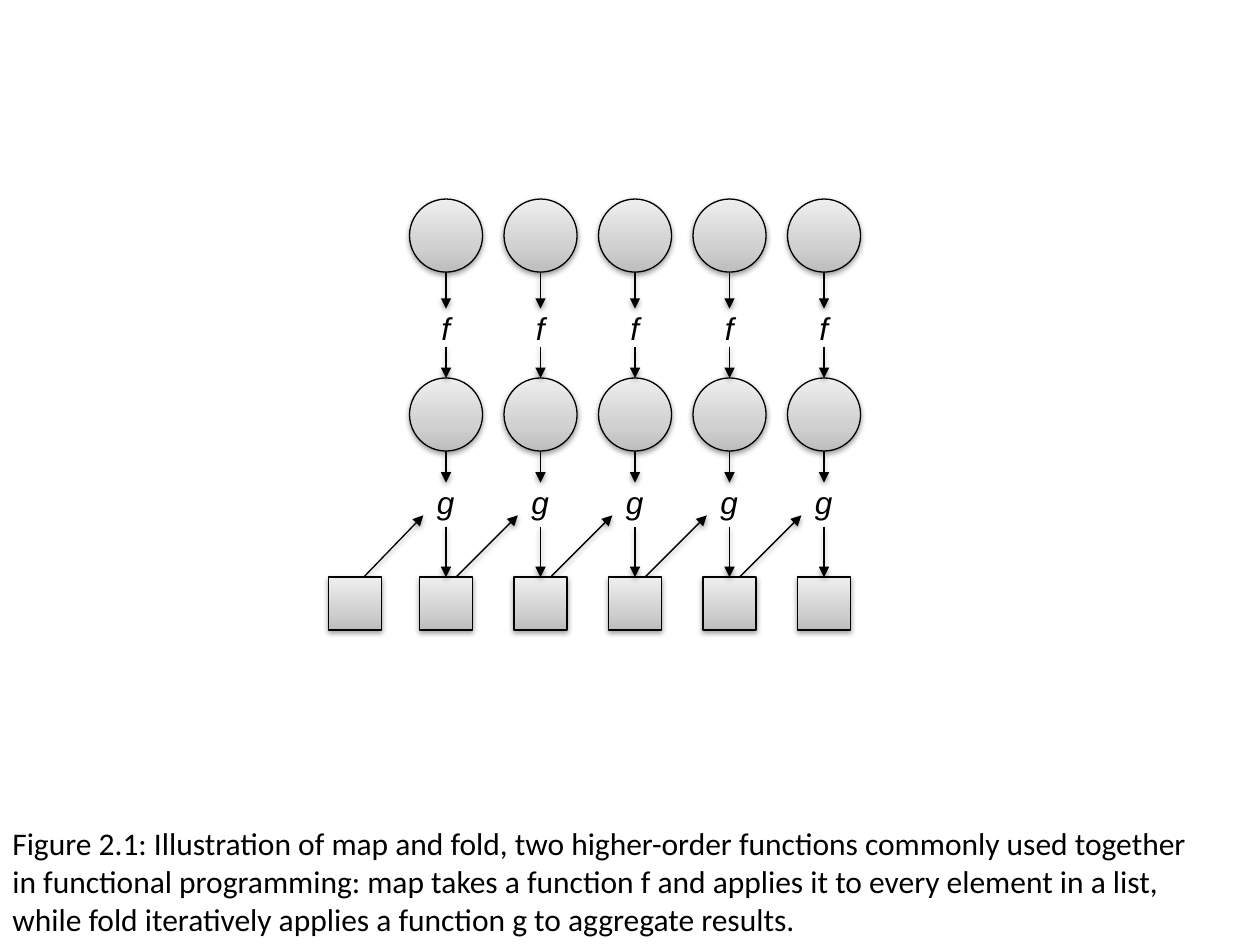
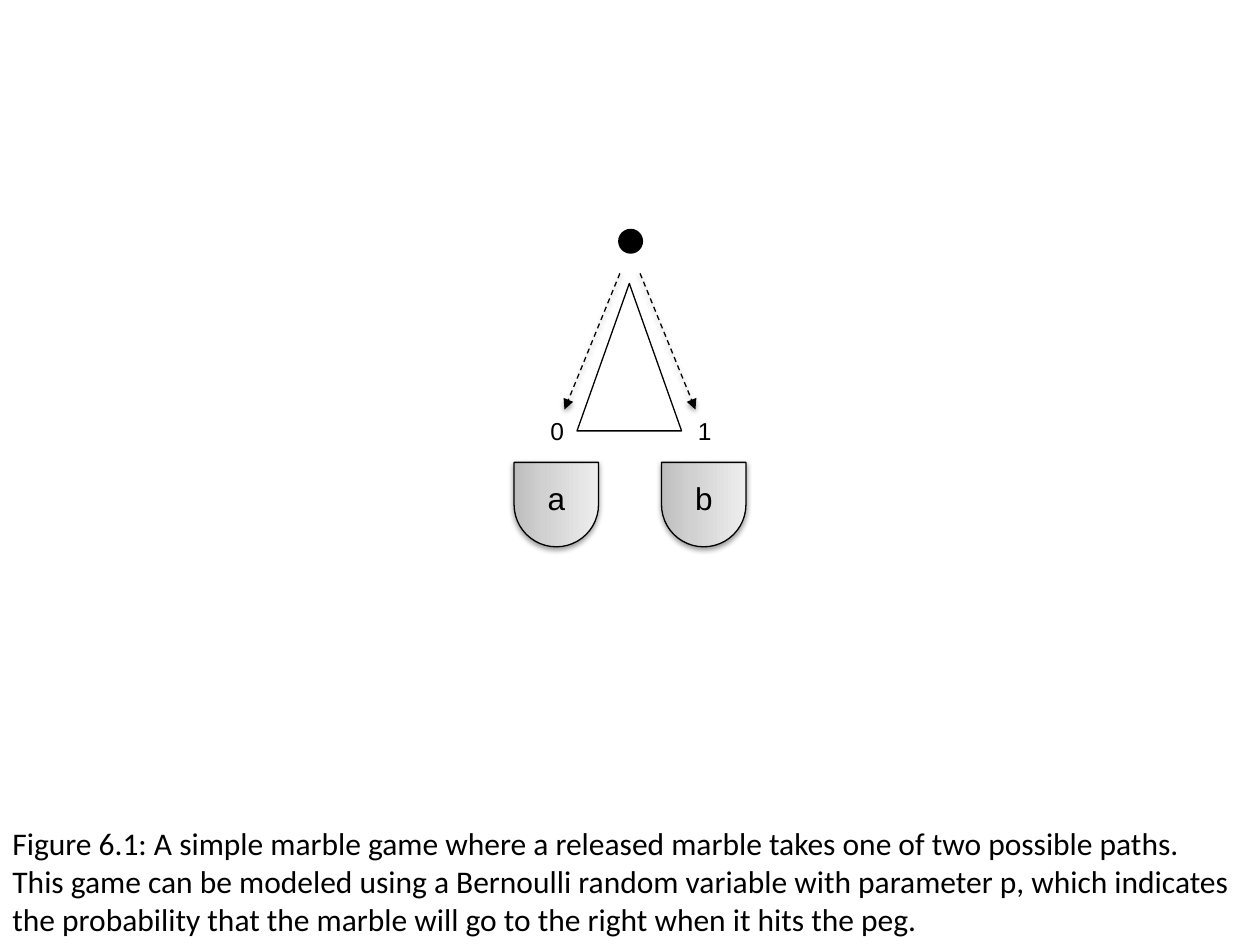
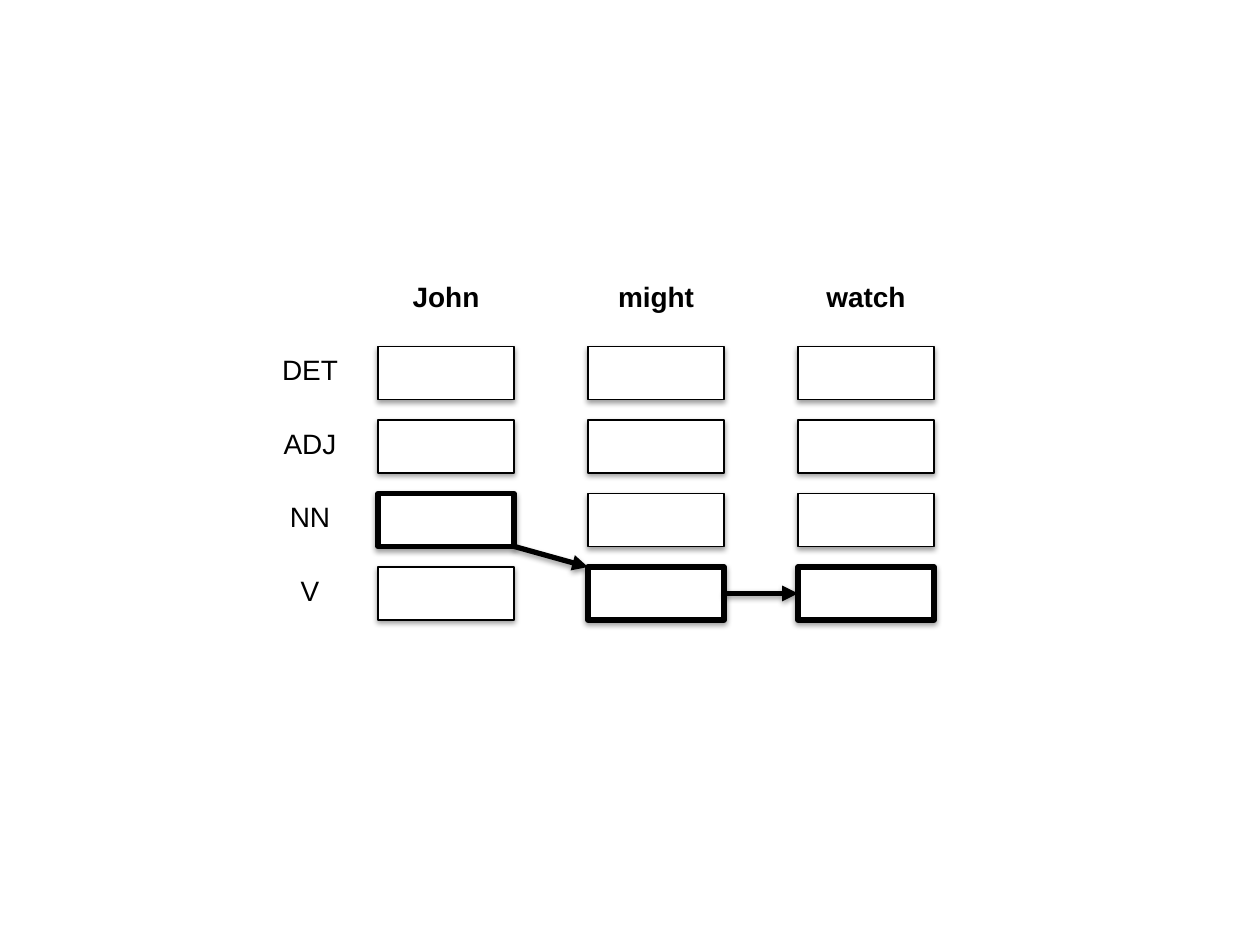
from dataclasses import dataclass, field
from typing import Any

from lxml.etree import SubElement
from pptx import Presentation
from pptx.dml.color import RGBColor
from pptx.enum.dml import MSO_LINE
from pptx.enum.shapes import MSO_CONNECTOR, MSO_SHAPE
from pptx.enum.text import MSO_ANCHOR, MSO_AUTO_SIZE, PP_ALIGN
from pptx.oxml import parse_xml
from pptx.oxml.ns import nsdecls, qn
from pptx.util import Inches, Pt

BLACK = RGBColor(0x00, 0x00, 0x00)
WHITE = RGBColor(0xFF, 0xFF, 0xFF)
GRAY_STOPS = (
    (0, RGBColor(0xBD, 0xBD, 0xBD)),
    (35, RGBColor(0xD1, 0xD1, 0xD1)),
    (100, RGBColor(0xEE, 0xEE, 0xEE)),
)

CAPTION = {"name": "Calibri", "size": Pt(18)}
LETTER = {"name": "Arial", "size": Pt(18)}
FUNCTION = {**LETTER, "italic": True}
OUTCOME = {"name": "Arial", "size": Pt(14)}
TAG = {"name": "Arial", "size": Pt(16)}
WORD = {**TAG, "bold": True}

THIN, THICK = 0.75, 3
TOP, LEFT, BOTTOM, RIGHT = range(4)
DEFAULT_INSETS = {"margin_top": Inches(0.05), "margin_bottom": Inches(0.05)}
BOTANICAL_TAGS = ()


@dataclass
class Box:
    x: float
    y: float
    w: float
    h: float
    kind: Any = MSO_SHAPE.RECTANGLE
    fill: Any = None
    line: float | None = THIN
    shadow: bool = True
    rotation: float = 0


@dataclass
class Label:
    x: float
    y: float
    w: float
    h: float
    lines: tuple[str, ...]
    font: dict[str, Any]
    insets: dict[str, Any] = field(default_factory=lambda: DEFAULT_INSETS)


def add_shadow(effects: Any) -> None:
    effects.append(parse_xml(
        f'<a:outerShdw {nsdecls("a")} blurRad="40000" dist="20000" dir="5400000" '
        f'rotWithShape="0"><a:srgbClr val="{BLACK}"><a:alpha val="38000"/>'
        "</a:srgbClr></a:outerShdw>"
    ))


def fill_gray(sp: Any) -> None:
    sp.fill.gradient()
    grad = sp.element.spPr.find(qn("a:gradFill"))
    stops = "".join(
        f'<a:gs pos="{pos * 1000}"><a:srgbClr val="{color}"/></a:gs>'
        for pos, color in GRAY_STOPS
    )
    grad.getparent().replace(grad, parse_xml(
        f'<a:gradFill {nsdecls("a")} rotWithShape="1"><a:gsLst>{stops}</a:gsLst>'
        '<a:lin ang="16200000" scaled="0"/></a:gradFill>'
    ))


def write(tf: Any, lines: tuple[str, ...], font: dict[str, Any], align: Any = None) -> None:
    for i, line in enumerate(lines):
        p = tf.paragraphs[0] if i == 0 else tf.add_paragraph()
        p.alignment = align
        r = p.add_run()
        r.text = line
        for name, value in font.items():
            setattr(r.font, name, value)
        r.font.color.rgb = BLACK


def draw_box(s: Any, box: Box) -> Any:
    sp = s.shapes.add_shape(
        box.kind, Inches(box.x), Inches(box.y), Inches(box.w), Inches(box.h))
    sp.rotation = box.rotation
    if box.fill == GRAY_STOPS:
        fill_gray(sp)
    elif box.fill is None:
        sp.fill.background()
    else:
        sp.fill.solid()
        sp.fill.fore_color.rgb = box.fill
    if box.line is None:
        sp.line.fill.background()
    else:
        sp.line.color.rgb = BLACK
        sp.line.width = Pt(box.line)
    sp.shadow.inherit = False
    if box.shadow:
        add_shadow(sp.element.spPr.find(qn("a:effectLst")))
    return sp


def draw_label(s: Any, label: Label) -> Any:
    sp = s.shapes.add_textbox(
        Inches(label.x), Inches(label.y), Inches(label.w), Inches(label.h))
    tf = sp.text_frame
    settings = {
        "word_wrap": False, "auto_size": MSO_AUTO_SIZE.SHAPE_TO_FIT_TEXT, **label.insets}
    for name, value in settings.items():
        setattr(tf, name, value)
    write(tf, label.lines, label.font)
    return sp


def draw_arrow(s: Any, start: tuple, end: tuple, width: float = THIN, dash: Any = None) -> Any:
    cx = s.shapes.add_connector(MSO_CONNECTOR.STRAIGHT, *start, *end)
    cx.line.color.rgb = BLACK
    cx.line.width = Pt(width)
    if dash is not None:
        cx.line.dash_style = dash
    spPr = cx.element.spPr
    SubElement(spPr.find(qn("a:ln")), qn("a:tailEnd"), type="triangle")
    add_shadow(SubElement(spPr, qn("a:effectLst")))
    return cx


def point(x: float, y: float) -> tuple:
    return Inches(x), Inches(y)


def draw_caption(s: Any, width: float, *lines: str) -> None:
    draw_label(s, Label(0, 6.49, width, 1.01, lines, CAPTION))


def draw_map_and_fold(s: Any) -> None:
    pitch, count, circle, square = 0.75, 5, 0.58, 0.42
    circle_tops, square_top = (1.58, 3), 4.58
    centers = [3.54 + pitch * i for i in range(count)]

    for i, center in enumerate(centers):
        start_x = 2.8 if i == 0 else center - 0.76
        draw_arrow(s, point(start_x, 4.67), point(center - 0.18, 4.09))
    draw_box(s, Box(2.61, square_top, square, square, fill=GRAY_STOPS))

    for center in centers:
        for top in circle_tops:
            draw_box(s, Box(center - circle / 2, top, circle, circle,
                            MSO_SHAPE.OVAL, GRAY_STOPS))
        result = draw_box(s, Box(center - square / 2, square_top, square, square,
                                 fill=GRAY_STOPS))
        f = draw_label(s, Label(center - 0.135, 2.45, 0.27, 0.3, ("f",), FUNCTION,
                                {"margin_top": 0, "margin_bottom": 0}))
        g = draw_label(s, Label(center - 0.17, 3.83, 0.34, 0.35, ("g",), FUNCTION,
                                {**DEFAULT_INSETS, "margin_top": 0}))
        for top, function in zip(circle_tops, (f, g)):
            cx = draw_arrow(s, point(center, top + circle), point(center, top + 0.85))
            cx.end_connect(function, TOP)
        cx = draw_arrow(s, point(center, 2.75), point(center, circle_tops[1]))
        cx.begin_connect(f, BOTTOM)
        cx = draw_arrow(s, point(center, 4.18), point(center, square_top))
        cx.begin_connect(g, BOTTOM)
        cx.end_connect(result, TOP)

    draw_caption(
        s, 9.64,
        "Figure 2.1: Illustration of map and fold, two higher-order functions commonly used together",
        "in functional programming: map takes a function f and applies it to every element in a list,",
        "while fold iteratively applies a function g to aggregate results.",
    )


def draw_marble_game(s: Any) -> None:
    draw_box(s, Box(4.92, 1.83, 0.17, 0.17, MSO_SHAPE.OVAL, BLACK, 2, False))
    draw_box(s, Box(4.58, 2.25, 0.83, 1.17, MSO_SHAPE.ISOSCELES_TRIANGLE, shadow=False))
    for side, cup_x, letter, digit in ((-1, 4.08, "a", "0"), (1, 5.25, "b", "1")):
        cup = draw_box(s, Box(cup_x, 3.67, 0.67, 0.67, MSO_SHAPE.FLOWCHART_DELAY,
                              GRAY_STOPS, rotation=90))
        tf = cup.text_frame
        tf.vertical_anchor = MSO_ANCHOR.MIDDLE
        cup.element.txBody.find(qn("a:bodyPr")).set("vert", "vert270")
        write(tf, (letter,), LETTER, PP_ALIGN.CENTER)
        draw_arrow(s, point(5 + side * 0.08, 2.17), point(5 + side * 0.52, 3.25),
                   dash=MSO_LINE.DASH)
        draw_label(s, Label(cup_x + 0.19, 3.25, 0.31, 0.34, (digit,), OUTCOME))

    draw_caption(
        s, 9.98,
        "Figure 6.1: A simple marble game where a released marble takes one of two possible paths.",
        "This game can be modeled using a Bernoulli random variable with parameter p, which indicates",
        "the probability that the marble will go to the right when it hits the peg.",
    )


def draw_heading(s: Any, x: float, y: float, w: float, h: float, text: str, font: dict) -> None:
    sp = draw_box(s, Box(x, y, w, h, fill=WHITE, line=None, shadow=False))
    sp.text_frame.vertical_anchor = MSO_ANCHOR.TOP
    write(sp.text_frame, (text,), font, PP_ALIGN.CENTER)


def draw_tag_lattice(s: Any) -> None:
    words, tags = ("John", "might", "watch"), ("DET", "ADJ", "NN", "V")
    best_tags = ("NN", "V", "V")
    cell_w, cell_h = 1.08, 0.42
    column_x = [3 + 5 / 3 * i for i in range(len(words))]
    row_y = [2.75 + 7 / 12 * i for i in range(len(tags))]

    best = []
    for x, word, best_tag in zip(column_x, words, best_tags):
        draw_heading(s, x, 2.17, cell_w, cell_h, word, WORD)
        for y, tag in zip(row_y, tags):
            width = THICK if tag == best_tag else THIN
            cell = draw_box(s, Box(x, y, cell_w, cell_h, fill=WHITE, line=width))
            if tag == best_tag:
                best.append(cell)
    for y, tag in zip(row_y, tags):
        draw_heading(s, 2, y, 0.92, cell_h, tag, TAG)

    noun, modal, verb = best
    cx = draw_arrow(s, (modal.left, modal.top), (verb.left, verb.top), THICK)
    cx.begin_connect(modal, RIGHT)
    cx.end_connect(verb, LEFT)
    draw_arrow(s, (noun.left + noun.width, noun.top + noun.height),
               (modal.left, modal.top), THICK)


def main() -> None:
    prs = Presentation()
    prs.slide_width, prs.slide_height = Inches(10), Inches(7.5)
    blank = prs.slide_layouts[6]
    for draw in (draw_map_and_fold, draw_marble_game, draw_tag_lattice):
        draw(prs.slides.add_slide(blank))
    prs.save("out.pptx")


if __name__ == "__main__":
    main()
